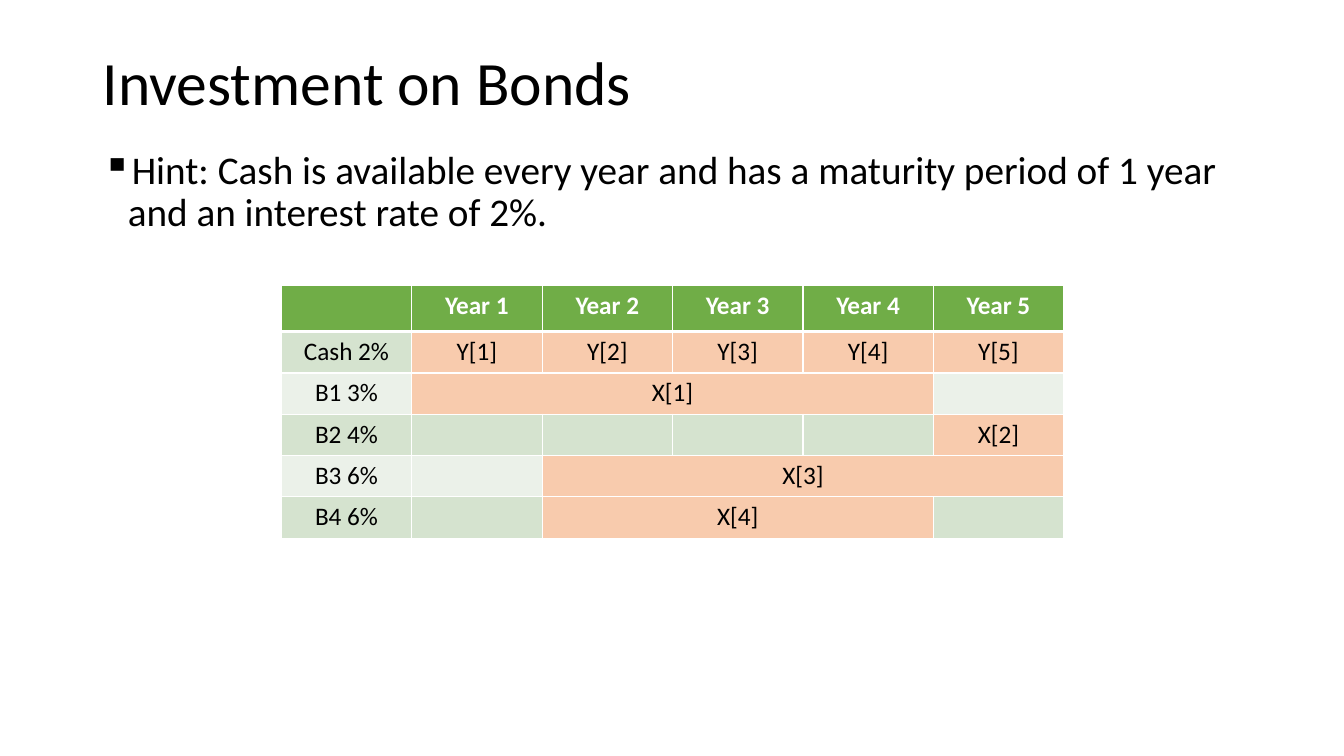
import pptx
import pptx.util
import pptx.dml.color
import pptx.enum.text
import pptx.oxml
import pptx.oxml.ns
from dataclasses import dataclass

Inches, Pt = pptx.util.Inches, pptx.util.Pt
WIDE, HIGH = 13.33, 7.5


@dataclass(frozen=True)
class Theme:
    font: str = "Calibri"
    ink: str = "000000"
    white: str = "FFFFFF"
    head: str = "70AD47"
    bands: tuple = ("D5E3CF", "EBF1E9")
    held: str = "F8CBAD"
    title: int = 44
    body: int = 28
    cell: int = 18
    thin: int = 1
    thick: int = 3


THEME = Theme()
YEARS = 5
# Each row: label, then (text, first year, last year) for every holding.
BONDS = [
    ("Cash 2%", [(f"Y[{year}]", year, year) for year in range(1, YEARS + 1)]),
    ("B1 3%", [("X[1]", 1, 4)]),
    ("B2 4%", [("X[2]", 5, 5)]),
    ("B3 6%", [("X[3]", 2, 5)]),
    ("B4 6%", [("X[4]", 2, 4)]),
]


def color(code):
    return pptx.dml.color.RGBColor.from_string(code)


def style(para, size, ink=THEME.ink, bold=False):
    font = para.font
    font.name, font.size, font.bold = THEME.font, Pt(size), bold
    font.color.rgb = color(ink)


def add_text(slide, box, text, size, anchor):
    frame = slide.shapes.add_textbox(*map(Inches, box)).text_frame
    frame.word_wrap = True
    frame.vertical_anchor = anchor
    para = frame.paragraphs[0]
    para.text = text
    para.line_spacing = 0.9
    style(para, size)
    return para


def add_title(slide, box):
    add_text(slide, box, "Investment on Bonds", THEME.title,
             pptx.enum.text.MSO_ANCHOR.MIDDLE)


def add_hint(slide, box):
    para = add_text(
        slide, box,
        "Hint: Cash is available every year and has a maturity period "
        "of 1 year and an interest rate of 2%.",
        THEME.body, pptx.enum.text.MSO_ANCHOR.TOP)
    para.space_before = Pt(10)
    props = para._p.get_or_add_pPr()
    props.set("marL", str(Inches(0.25)))
    props.set("indent", str(-Inches(0.25)))
    mark = pptx.oxml.parse_xml(
        f'<a:buChar {pptx.oxml.ns.nsdecls("a")} char="▪"/>')
    props.append(mark)


def add_edges(cell, top, bottom):
    props = cell._tc.get_or_add_tcPr()
    widths = {"L": THEME.thin, "R": THEME.thin, "T": top, "B": bottom}
    for side, width in widths.items():
        props.append(pptx.oxml.parse_xml(
            f'<a:ln{side} {pptx.oxml.ns.nsdecls("a")} w="{Pt(width)}">'
            f'<a:solidFill><a:srgbClr val="{THEME.white}"/></a:solidFill>'
            f'</a:ln{side}>'))


def fill_cell(cell, fill, text=""):
    cell.fill.solid()
    cell.fill.fore_color.rgb = color(fill)
    para = cell.text_frame.paragraphs[0]
    para.text = text
    para.alignment = pptx.enum.text.PP_ALIGN.CENTER
    head = fill == THEME.head
    style(para, THEME.cell, THEME.white if head else THEME.ink, head)


def add_plan(slide, box):
    """Table of the years in which each bond is held."""
    rows, cols = len(BONDS) + 1, YEARS + 1
    table = slide.shapes.add_table(rows, cols, *map(Inches, box)).table
    for col in table.columns:
        col.width = Inches(box[2] / cols)
    for num, row in enumerate(table.rows):
        row.height = Inches(0.41 if num else 0.46)
        fill = THEME.bands[(num - 1) % 2] if num else THEME.head
        for cell in row.cells:
            add_edges(cell, THEME.thick if num == 1 else THEME.thin,
                      THEME.thin if num else THEME.thick)
            fill_cell(cell, fill)
    for year in range(1, cols):
        fill_cell(table.cell(0, year), THEME.head, f"Year {year}")
    for num, (label, spans) in enumerate(BONDS, 1):
        fill_cell(table.cell(num, 0), THEME.bands[(num - 1) % 2], label)
        for text, first, last in spans:
            cell = table.cell(num, first)
            if last > first:
                cell.merge(table.cell(num, last))
            fill_cell(cell, THEME.held, text)


def main():
    deck = pptx.Presentation()
    deck.slide_width, deck.slide_height = Inches(WIDE), Inches(HIGH)
    slide = deck.slides.add_slide(deck.slide_layouts[6])
    left, span = 0.069 * WIDE, 0.863 * WIDE
    add_title(slide, (left, 0.4, span, 0.12 * HIGH))
    add_hint(slide, (left, 1.44, span, 0.74 * HIGH))
    add_plan(slide, (2.79, 2.83, 7.76, 2.51))
    deck.save("out.pptx")


if __name__ == "__main__":
    main()
